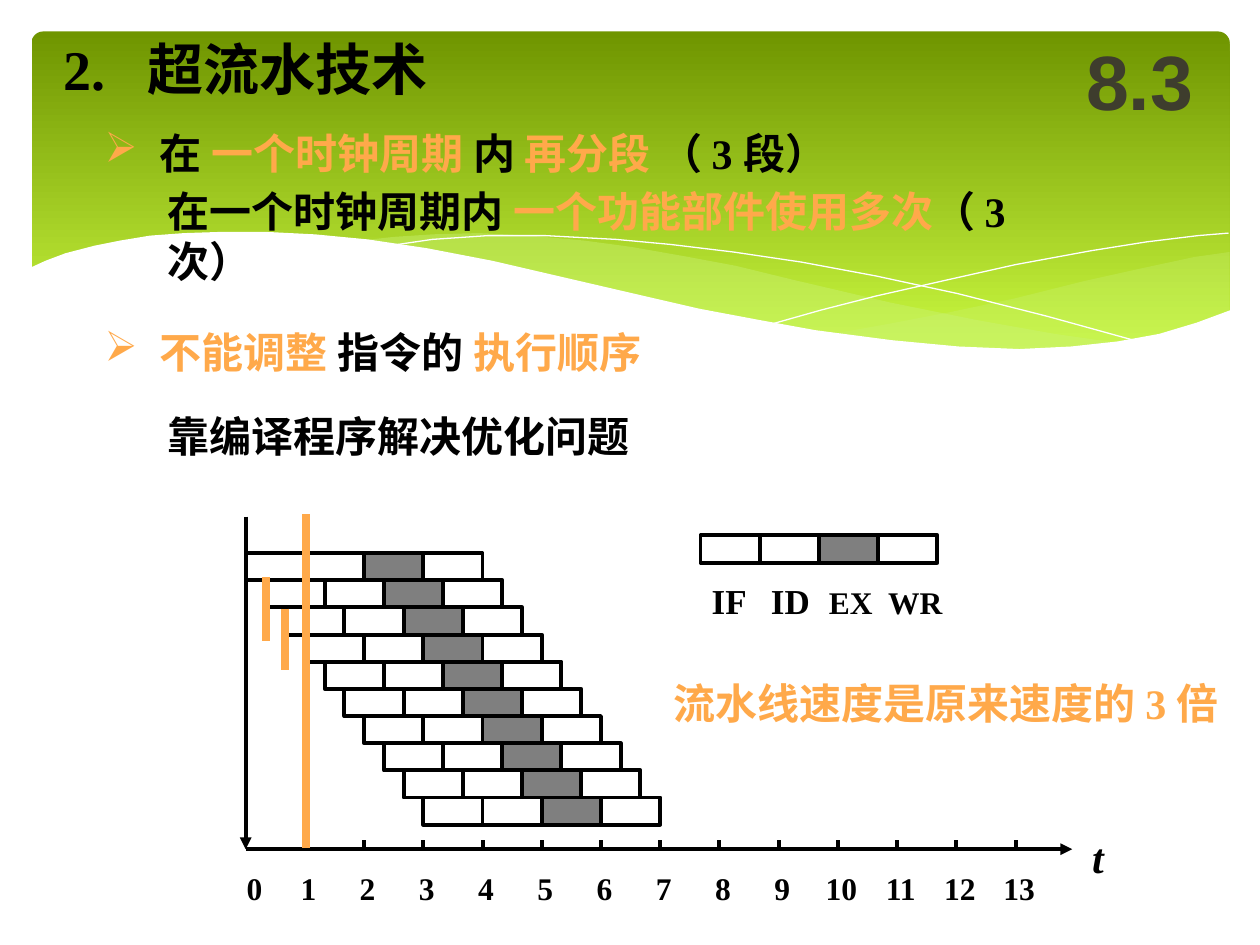
from dataclasses import dataclass

from pptx import Presentation
from pptx.dml.color import RGBColor as RGB
from pptx.enum.shapes import MSO_CONNECTOR as Link, MSO_SHAPE as Preset
from pptx.enum.text import MSO_ANCHOR as Anchor, PP_ALIGN as Align
from pptx.oxml.ns import qn
from pptx.util import Inches, Pt
from lxml.etree import SubElement


@dataclass(frozen=True)
class Theme:
    ink: RGB = RGB(0, 0, 0)
    accent: RGB = RGB(0xFF, 0xA9, 0x4A)
    white: RGB = RGB(0xFF, 0xFF, 0xFF)
    dark_green: RGB = RGB(0x6F, 0x95, 0x00)
    lime: RGB = RGB(0xD0, 0xFF, 0x44)
    pale_lime: RGB = RGB(0xCA, 0xF2, 0x78)
    section: RGB = RGB(0x3E, 0x3D, 0x2D)
    serif: str = "Times New Roman"
    sans: str = "Arial"
    title_size: int = 32
    body_size: int = 24
    legend_size: int = 20
    label_size: int = 18
    section_size: int = 44
    rule: float = 2.25
    marker: float = 4.5


class SlideBuilder:
    def __init__(self, slide, theme):
        self.slide, self.theme = slide, theme
        self.shapes = slide.shapes

    def set_opacity(self, shape, percent):
        colour = shape._element.spPr.find(qn("a:solidFill"))[0]
        SubElement(colour, qn("a:alpha"), val=str(percent * 1000))

    def band(self, left, top, width, height):
        band = self.shapes.add_shape(Preset.ROUNDED_RECTANGLE, *map(Inches, (left, top, width, height)))
        band.adjustments[0] = 0.034
        band.shadow.inherit = False
        band.line.fill.background()
        band.fill.gradient()
        band.fill.gradient_angle = 270
        for stop, colour in zip(band.fill.gradient_stops, (self.theme.dark_green, self.theme.lime)):
            stop.color.rgb = colour

    def outline(self, points, fill=None, opacity=100):
        """Filled outline, or an open white hairline when no fill is given."""
        first, *rest = [(Inches(x), Inches(y)) for x, y in points]
        builder = self.shapes.build_freeform(*first, scale=1.0)
        builder.add_line_segments(rest, close=fill is not None)
        shape = builder.convert_to_shape()
        shape.shadow.inherit = False
        if fill is None:
            shape.fill.background()
            shape.line.color.rgb = self.theme.white
            shape.line.width = Pt(0)
        else:
            shape.line.fill.background()
            shape.fill.solid()
            shape.fill.fore_color.rgb = fill
            if opacity < 100:
                self.set_opacity(shape, opacity)

    def cell(self, left, top, width, height, shaded):
        cell = self.shapes.add_shape(Preset.RECTANGLE, *map(Inches, (left, top, width, height)))
        cell.shadow.inherit = False
        cell.line.color.rgb = self.theme.ink
        cell.line.width = Pt(self.theme.rule)
        if shaded:
            cell.fill.solid()
            cell.fill.fore_color.rgb = self.theme.ink
            self.set_opacity(cell, 50)
        else:
            cell.fill.background()

    def line(self, x1, y1, x2, y2, colour=None, width=None, arrow=False):
        line = self.shapes.add_connector(Link.STRAIGHT, *map(Inches, (x1, y1, x2, y2)))
        line.line.color.rgb = colour or self.theme.ink
        line.line.width = Pt(width or self.theme.rule)
        properties = line._element.spPr
        if arrow:
            SubElement(properties.get_or_add_ln(), qn("a:tailEnd"), type="triangle")
        SubElement(properties, qn("a:effectLst"))

    def fill_frame(self, frame, spans, size, font=None, italic=False, inset=0.0, anchor=Anchor.MIDDLE,
                   align=Align.LEFT, bullet=False, tabs=(), tab_align="l", wrap=False):
        """Spans are (text, colour) or (text, colour, size)."""
        frame.word_wrap = wrap
        frame.vertical_anchor = anchor
        frame.margin_left = frame.margin_right = Inches(inset)
        frame.margin_top = frame.margin_bottom = Inches(0.05)
        paragraph = frame.paragraphs[0]
        paragraph.alignment = align
        properties = paragraph._p.get_or_add_pPr()
        if bullet:
            properties.set("marL", str(Inches(0.44)))
            properties.set("indent", str(-Inches(0.44)))
            tint = SubElement(properties, qn("a:buClr"))
            SubElement(tint, qn("a:srgbClr"), val=str(self.theme.accent))
            SubElement(properties, qn("a:buChar"), char="➢")
        if tabs:
            stops = SubElement(properties, qn("a:tabLst"))
            for position in tabs:
                SubElement(stops, qn("a:tab"), pos=str(Inches(position)), algn=tab_align)
        for text, colour, *own_size in spans:
            run = paragraph.add_run()
            run.text = text
            run.font.name = font or self.theme.serif
            run.font.size = Pt(own_size[0] if own_size else size)
            run.font.bold = True
            run.font.italic = italic
            run.font.color.rgb = colour

    def text(self, left, top, width, height, spans, size, **style):
        box = self.shapes.add_textbox(*map(Inches, (left, top, width, height)))
        self.fill_frame(box.text_frame, spans, size, **style)

    def title(self, left, top, width, height, spans, size, **style):
        title = self.shapes.title
        title.left, title.top, title.width, title.height = map(Inches, (left, top, width, height))
        self.shapes._spTree.append(title._element)  # in front of the backdrop
        self.fill_frame(title.text_frame, spans, size, **style)


# Backdrop curves, in inches
RIGHT_WAVE = [(9.76, 2), (9.48, 2.04), (9.06, 2.13), (8.61, 2.23), (8.05, 2.37), (7.53, 2.48),
              (7.06, 2.57), (6.61, 2.65), (7.05, 2.71), (7.45, 2.75), (7.92, 2.77), (8.35, 2.77),
              (8.72, 2.74), (9.05, 2.69), (9.35, 2.62), (9.76, 2.47)]
LONG_WAVE = [(8.93, 2.73), (8.37, 2.65), (7.75, 2.54), (7.06, 2.4), (6.29, 2.22), (5.84, 2.11),
             (5.41, 2.03), (5.01, 1.96), (4.64, 1.91), (4.2, 1.87), (3.8, 1.85), (3.44, 1.86),
             (3.13, 1.88), (2.86, 1.91), (3.42, 1.99), (4.04, 2.11), (4.49, 2.22), (5.3, 2.4),
             (6.01, 2.55), (6.65, 2.66), (7.22, 2.74), (7.73, 2.78), (8.18, 2.79), (8.57, 2.77)]
FALLING_ARC = [(3.09, 1.95), (3.43, 1.9), (3.87, 1.87), (4.33, 1.87), (4.89, 1.9), (5.32, 1.94),
               (5.82, 2), (6.36, 2.08), (6.95, 2.19), (7.6, 2.33), (8.31, 2.51), (9.07, 2.72)]
RISING_ARC = [(6.13, 2.57), (6.52, 2.46), (6.95, 2.35), (7.48, 2.23), (8.06, 2.1), (8.66, 1.99),
              (9.1, 1.92), (9.51, 1.87), (9.75, 1.85)]
WHITE_WAVE = [(9.77, 2.46), (9.5, 2.56), (9.2, 2.65), (8.87, 2.71), (8.5, 2.75), (8.09, 2.77),
              (7.61, 2.75), (7.08, 2.7), (6.47, 2.62), (6.03, 2.54), (5.55, 2.45), (5.03, 2.33),
              (4.47, 2.2), (3.91, 2.07), (3.39, 1.97), (2.92, 1.9), (2.5, 1.86), (2.11, 1.84),
              (1.76, 1.84), (1.46, 1.85), (1.19, 1.87), (0.95, 1.91), (0.75, 1.95), (0.52, 2.01),
              (0.36, 2.07), (0.23, 2.13), (0.23, 3.29), (9.77, 3.29)]

# Pipeline grid: each instruction starts a third of a cycle after the previous one
CYCLE = 0.47
ORIGIN_X, AXIS_Y = 1.95, 6.74
FIRST_ROW, LAST_ROW = 4.39, 6.33
INSTRUCTIONS, CYCLES = 10, 13
ROW_HEIGHT = (LAST_ROW - FIRST_ROW) / (INSTRUCTIONS - 1)


def add_stages(page, left, top):
    for stage in range(4):
        page.cell(left + stage * CYCLE, top, CYCLE, ROW_HEIGHT, shaded=stage == 2)


def main():
    deck = Presentation()
    deck.slide_width, deck.slide_height = Inches(10), Inches(7.5)
    theme = Theme()
    page = SlideBuilder(deck.slides.add_slide(deck.slide_layouts[5]), theme)
    ink, accent = theme.ink, theme.accent

    # Backdrop
    page.band(0.25, 0.25, 9.51, 2.7)
    page.outline(RIGHT_WAVE, theme.pale_lime, 29)
    page.outline(LONG_WAVE, theme.pale_lime, 40)
    page.outline(FALLING_ARC)
    page.outline(RISING_ARC)
    page.outline(WHITE_WAVE, theme.white)

    # Title and statements
    page.title(0.5, 0.25, 4.42, 0.58, [("2.\t超流水技术", ink)], theme.title_size, tabs=[0.67])
    statements = [
        (0.83, 0.92, True, [("在 ", ink), ("一个时钟周期 ", accent), ("内 ", ink),
                            ("再分段", accent), (" （ 3 段）", ink)]),
        (0.83, 2.5, True, [("不能调整 ", accent), ("指令的 ", ink), ("执行顺序", accent)]),
        (1.33, 1.58, False, [("在一个时钟周期内 ", ink), ("一个功能部件使用多次", accent),
                             ("（ 3 次）", ink)]),
        (1.33, 3.17, False, [("靠编译程序解决优化问题", ink)]),
    ]
    for left, top, bullet, spans in statements:
        page.text(left, top, 7.33, 0.58, spans, theme.body_size, bullet=bullet)
    label = dict(inset=0.1, anchor=Anchor.TOP)
    page.text(5.25, 5.33, 5.08, 0.5, [("流水线速度是原来速度的 3 倍", accent)], theme.body_size, **label)

    # Overlapping instructions and the stage legend
    for row in range(INSTRUCTIONS):
        add_stages(page, ORIGIN_X + row * CYCLE / 3, FIRST_ROW + row * ROW_HEIGHT)
    add_stages(page, 5.56, 4.25)
    page.text(5.55, 4.55, 2.04, 0.44, [("IF\tID\t", ink), ("EX\tWR", ink, theme.label_size)],
              theme.legend_size, tabs=[CYCLE, 0.93, 1.4], wrap=True, **label)

    # Axes, ticks and cycle numbers
    page.line(ORIGIN_X, 4.1, ORIGIN_X, AXIS_Y, arrow=True)
    page.line(ORIGIN_X, AXIS_Y, 8.51, AXIS_Y, arrow=True)
    ticks = [cycle * CYCLE for cycle in range(1, CYCLES + 1)]
    for tick in ticks:
        page.line(ORIGIN_X + tick, AXIS_Y - 0.07, ORIGIN_X + tick, AXIS_Y)
    numbers = "\t".join(str(cycle) for cycle in range(CYCLES + 1))
    page.text(1.86, 6.85, 6.6, 0.4, [(numbers, ink)], theme.label_size,
              tabs=[tick + 0.02 for tick in ticks], tab_align="ctr", wrap=True, **label)
    page.text(8.57, 6.55, 0.29, 0.5, [("t", ink)], theme.body_size, italic=True, **label)

    # Markers for the first cycle and its thirds
    for x, top, bottom in [(2.43, 4.08, 6.73), (2.11, 4.58, 5.09), (2.26, 4.83, 5.32)]:
        page.line(x, top, x, bottom, accent, theme.marker)

    # Section number
    page.text(8.42, 0.17, 1.25, 0.92, [("8.3", theme.section)], theme.section_size,
              font=theme.sans, inset=0.1, align=Align.CENTER, wrap=True)

    deck.save("out.pptx")


if __name__ == "__main__":
    main()
